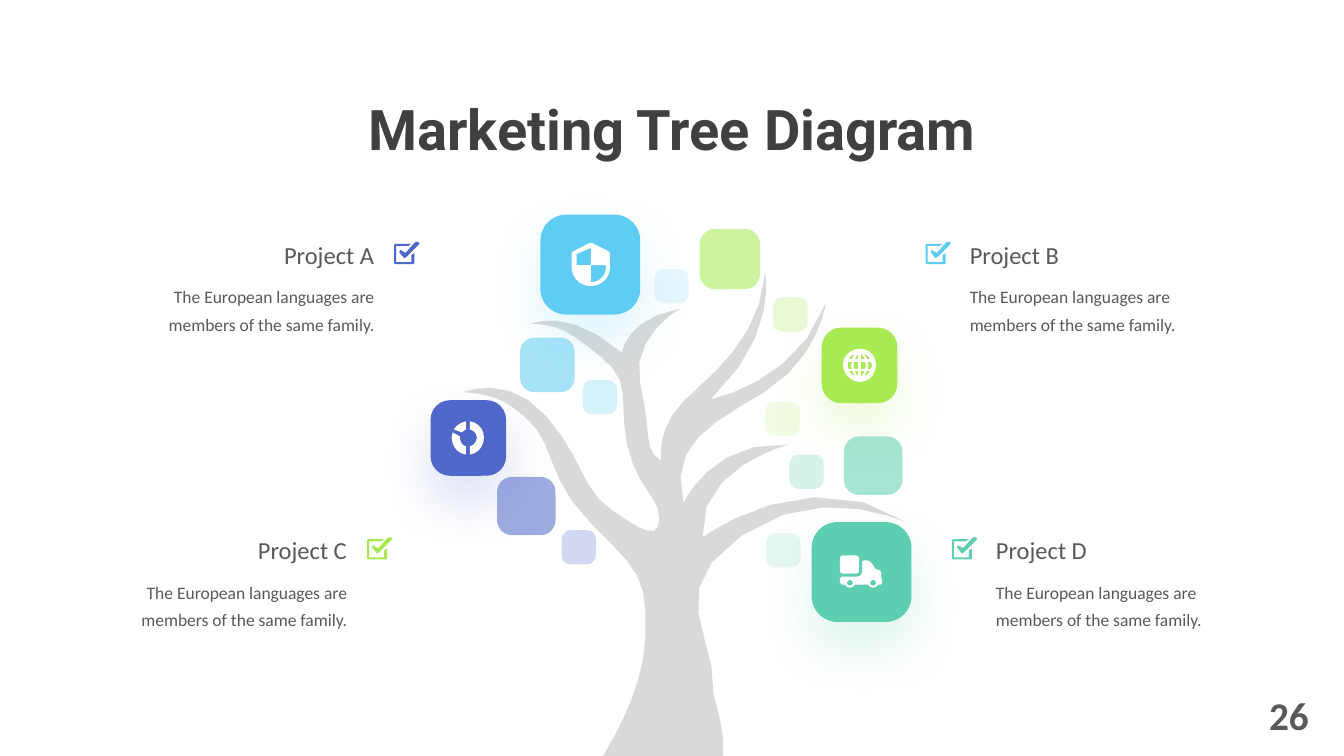
import math

from lxml import etree
from pptx import Presentation
from pptx.dml.color import RGBColor
from pptx.enum.shapes import MSO_SHAPE
from pptx.enum.text import MSO_AUTO_SIZE, PP_ALIGN
from pptx.oxml.ns import qn
from pptx.util import Inches, Pt

ROUNDED = MSO_SHAPE.ROUNDED_RECTANGLE
GROW = MSO_AUTO_SIZE.SHAPE_TO_FIT_TEXT
LEFT, CENTER, RIGHT = PP_ALIGN.LEFT, PP_ALIGN.CENTER, PP_ALIGN.RIGHT

COLORS = {
    "indigo": "4E67C8", "sky": "5ECCF3", "lime": "A7EA52", "teal": "5DCEAF",
    "trunk": "D9D9D9", "heading": "404040", "body": "595959", "white": "FFFFFF",
}
MAX_CURVE_STEPS = 6

# Outlines use M, L and C commands, in hundredths of an inch.
TREE = """
M 759 271 C 759 271 772 333 705 396 C 705 396 790 380 819 301
C 819 301 812 356 758 389 C 705 421 663 440 678 499
C 678 499 706 436 782 441 C 782 441 690 465 697 533
C 697 533 806 451 907 522 C 907 522 818 474 736 531
C 655 588 711 626 708 691 C 714 709 719 734 717 747
L 717 750 L 598 750 L 601 745 C 616 720 639 675 640 633
C 643 572 633 566 586 519 C 539 472 552 438 520 413
C 508 404 497 391 460 389 C 460 389 505 370 542 413
C 580 457 575 484 607 506 C 638 528 654 536 654 514
C 654 492 632 486 622 441 C 613 397 628 379 596 354
C 564 329 558 323 527 321 C 527 321 564 304 617 350
C 617 350 620 316 675 306 C 675 306 624 334 635 381
C 647 429 637 447 656 457 C 656 457 650 426 678 398 C 707 370 753 337 759 271
"""
TRUCK = """
M 33 24 C 32 24 30 26 30 27 C 30 29 31 30 33 30 C 34 30 36 29 36 27 C 36 26 34 24 33 24
M 10 24 C 9 24 7 26 7 27 C 7 29 8 30 10 30 C 11 30 13 29 13 27 C 13 26 11 24 10 24
M 23 5 L 28 5 L 31 7 L 35 13 L 37 14 C 39 14 41 15 41 17 L 41 22
L 42 24 L 42 27 L 41 29 L 38 29 C 37 31 35 32 33 32
C 31 32 29 31 28 29 L 15 29 C 14 31 12 32 10 32 C 8 32 6 31 5 29 L 2 29
L 0 27 L 0 23 L 2 21 L 17 21 C 20 21 22 19 22 16 L 22 7 L 23 5
M 3 0 L 16 0 C 18 0 19 1 19 3 L 19 15 C 19 17 18 18 16 18 L 3 18 C 1 18 0 17 0 15
L 0 3 C 0 1 1 0 3 0
"""
GLOBE = """
M 17 0 C 8 0 0 7 0 16 C 0 25 8 33 17 33 C 26 33 33 25 33 16 C 33 7 26 0 17 0
M 12 5 L 9 10 L 6 10 C 7 8 9 6 12 5
M 5 20 L 5 13 L 9 13 L 8 16 L 9 20
M 6 22 L 9 22 L 12 27 C 9 26 7 24 6 22
M 15 28 L 12 22 L 15 22
M 15 20 L 11 20 L 11 13 L 15 13
M 15 10 L 12 10 L 15 5
M 27 10 L 24 10 L 21 5 C 24 6 26 8 27 10
M 18 5 L 22 10 L 18 10
M 18 13 L 22 13 L 23 16 L 22 20 L 18 20
M 18 22 L 22 22 L 18 28
M 21 27 L 24 22 L 27 22 C 26 24 24 26 21 27
M 29 16 L 28 20 L 25 20 L 25 13 L 28 13
"""
DONUT = """
M 1 11 L 8 15 C 8 20 10 24 14 25 L 14 33 C 6 32 0 25 0 16 L 1 11
M 18 0 C 26 1 32 8 32 16 C 32 25 26 32 18 33 L 18 25 C 22 24 25 20 25 16 C 25 12 22 9 18 8
M 14 0 L 14 8 L 10 11 L 2 8 C 5 4 9 1 14 0
"""
SHIELD = """
M 36 8 L 20 0 L 18 0 L 2 8 L 0 10 L 0 25 C 0 35 9 43 19 43
C 29 43 38 35 38 25 L 38 10 L 36 8
M 19 39 L 19 22 L 5 22 L 5 11 L 19 5 L 19 22 L 34 22 L 34 25 C 34 33 27 39 19 39
"""
CHECK = """
M 0 21 L 0 3 L 1 2 L 17 2 L 14 4 L 2 4 L 2 20 L 17 20 L 17 13 L 20 11 L 20 21 L 19 22 L 1 22
M 11 11 L 8 9 L 6 8 L 5 10 L 9 15 L 10 16 L 12 15 L 24 3 L 25 2 L 24 0 L 21 0
"""

# left, top, size, color, icon outline, icon left, icon top
BRANCH_TILES = [
    (8.05, 5.18, 0.99, "teal", TRUCK, 8.33, 5.51),
    (8.15, 3.25, 0.75, "lime", GLOBE, 8.36, 3.46),
    (4.27, 3.97, 0.75, "indigo", DONUT, 4.48, 4.18),
    (5.36, 2.13, 0.99, "sky", SHIELD, 5.67, 2.41),
]
# left, top, size, color, opacity in percent
LEAVES = [
    (4.93, 4.73, 0.58, "indigo", 55), (5.57, 5.26, 0.34, "indigo", 25),
    (6.49, 2.67, 0.34, "sky", 15), (5.16, 3.35, 0.54, "sky", 55),
    (5.78, 3.77, 0.34, "sky", 25), (6.94, 2.27, 0.6, "lime", 55),
    (7.67, 2.95, 0.34, "lime", 25), (7.59, 3.99, 0.34, "lime", 15),
    (8.37, 4.33, 0.58, "teal", 55), (7.6, 5.29, 0.34, "teal", 15),
    (7.83, 4.51, 0.34, "teal", 25),
]
# name, check mark left, top, color, alignment
PROJECTS = [
    ("Project D", 9.44, 5.26, "teal", LEFT), ("Project B", 9.18, 2.33, "sky", LEFT),
    ("Project A", 3.91, 2.33, "indigo", RIGHT), ("Project C", 3.64, 5.26, "lime", RIGHT),
]
SUMMARY = "The European languages are members of the same family."


def trace(outline):
    """Turn an outline into contours of points, sampling longer curves more finely."""
    contours = []
    tokens = iter(outline.split())
    for command in tokens:
        pairs = 3 if command == "C" else 1
        points = [(int(next(tokens)), int(next(tokens))) for _ in range(pairs)]
        if command == "M":
            contours.append(points)
        elif command == "L":
            contours[-1] += points
        else:
            bezier = [contours[-1][-1], *points]
            chord = math.dist(bezier[0], bezier[3])
            steps = min(MAX_CURVE_STEPS, max(1, round(math.sqrt(chord))))
            for step in range(1, steps + 1):
                t = step / steps
                weights = ((1 - t) ** 3, 3 * t * (1 - t) ** 2, 3 * t * t * (1 - t), t ** 3)
                contours[-1].append(tuple(
                    sum(w * p[axis] for w, p in zip(weights, bezier)) for axis in (0, 1)))
    return contours


class TreeSlide:
    def __init__(self, slide):
        self.shapes = slide.shapes

    def paint(self, shape, color, opacity=100):
        shape.shadow.inherit = False
        shape.fill.solid()
        shape.fill.fore_color.rgb = RGBColor.from_string(COLORS[color])
        shape.line.fill.background()
        if opacity < 100:
            tint = shape._element.spPr.find(".//" + qn("a:srgbClr"))
            etree.SubElement(tint, qn("a:alpha"), val=str(opacity * 1000))

    def text(self, words, left, top, width, height, *, size, color="body",
             font="Calibri", bold=False, align=LEFT, spacing=None, after=None):
        box = self.shapes.add_textbox(*map(Inches, (left, top, width, height)))
        frame = box.text_frame
        frame.word_wrap = True
        frame.auto_size = GROW
        paragraph = frame.paragraphs[0]
        paragraph.alignment = align
        paragraph.line_spacing = spacing
        paragraph.space_after = after
        run = paragraph.add_run()
        run.text = words
        run.font.name, run.font.size, run.font.bold = font, Pt(size), bold
        run.font.color.rgb = RGBColor.from_string(COLORS[color])

    def outline(self, outline, color, left=0, top=0):
        contours = [[(Inches(left + x / 100), Inches(top + y / 100)) for x, y in contour]
                    for contour in trace(outline)]
        builder = self.shapes.build_freeform(*contours[0][0])
        for number, contour in enumerate(contours):
            if number:
                builder.move_to(*contour[0])
            builder.add_line_segments(contour[1:], close=True)
        self.paint(builder.convert_to_shape(), color)

    def tile(self, left, top, size, color, opacity=100, glow=False):
        square = self.shapes.add_shape(ROUNDED, *map(Inches, (left, top, size, size)))
        square.adjustments[0] = 0.258
        self.paint(square, color, opacity)
        if glow:
            effects = square._element.spPr.find(qn("a:effectLst"))
            shadow = etree.SubElement(
                effects, qn("a:outerShdw"), blurRad=str(Pt(38)), dist=str(Pt(18)),
                dir="5400000", algn="t", rotWithShape="0")
            tint = etree.SubElement(shadow, qn("a:srgbClr"), val=COLORS[color])
            etree.SubElement(tint, qn("a:alpha"), val="20000")

    def project(self, name, left, top, color, align):
        summary_left, name_left = (
            (left + 0.34, left + 0.34) if align == LEFT else (left - 2.57, left - 2.44))
        self.text(SUMMARY, summary_left, top + 0.4, 2.47, 0.63, size=12.5,
                  align=align, spacing=1.3, after=Pt(7.5))
        self.text(name, name_left, top, 2.34, 0.4, size=17.5, align=align)
        self.outline(CHECK, color, left, top + 0.07)


def main():
    deck = Presentation()
    deck.slide_width, deck.slide_height = Inches(13.33), Inches(7.5)
    tree = TreeSlide(deck.slides.add_slide(deck.slide_layouts[6]))
    tree.text("26", 11.48, 6.81, 1.6, 0.57, size=28, bold=True, align=RIGHT)
    tree.text("Marketing Tree Diagram", 1.61, 0.82, 10.11, 0.8, size=40, color="heading",
              font="Roboto", bold=True, align=CENTER, spacing=1.1)
    tree.outline(TREE, "trunk")
    for left, top, size, color, icon, icon_left, icon_top in BRANCH_TILES:
        tree.tile(left, top, size, color, glow=True)
        tree.outline(icon, "white", icon_left, icon_top)
    for leaf in LEAVES:
        tree.tile(*leaf)
    for project in PROJECTS:
        tree.project(*project)
    deck.save("out.pptx")


if __name__ == "__main__":
    main()
